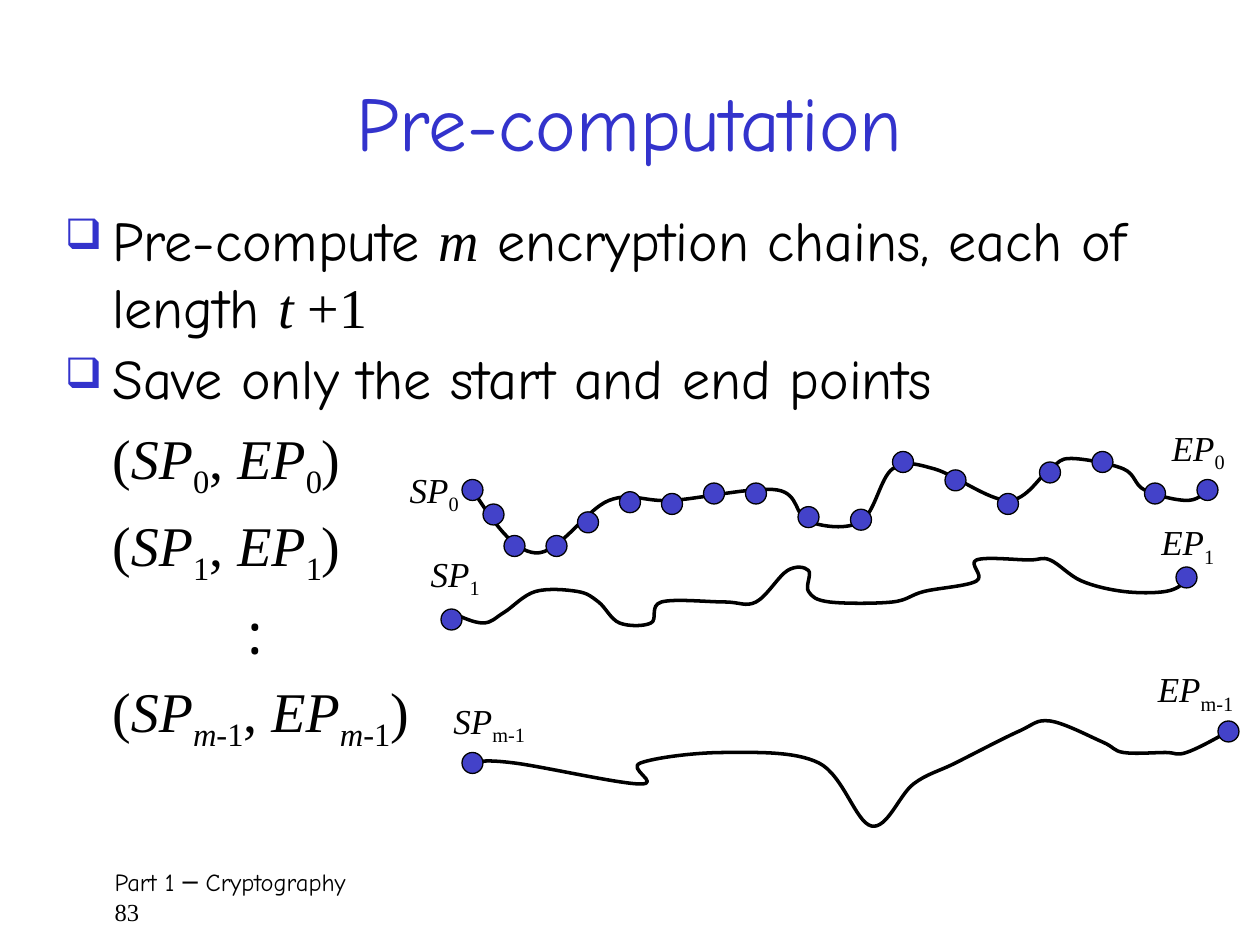
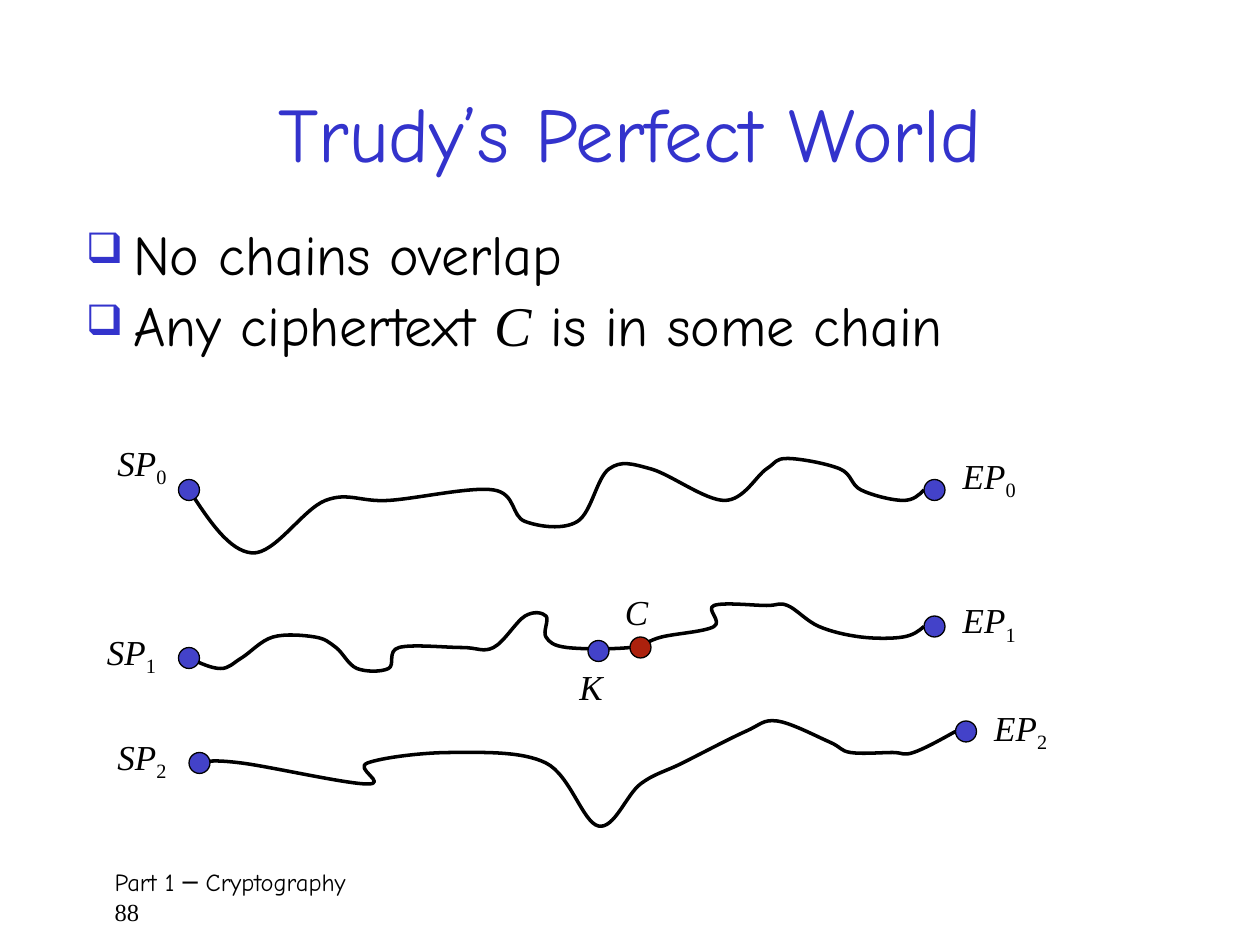
from dataclasses import dataclass

from lxml.etree import SubElement
from pptx import Presentation
from pptx.dml.color import RGBColor
from pptx.enum.shapes import MSO_SHAPE
from pptx.enum.text import MSO_ANCHOR, MSO_AUTO_SIZE, PP_ALIGN
from pptx.oxml.ns import qn
from pptx.util import Pt

PX = 6350  # EMU per px, 144 px to the inch
GRID = 12  # px between the grid lines the chains are drawn on
DOT = 24


@dataclass(frozen=True)
class Theme:
    title: str = "3333CC"
    ink: str = "000000"
    dot: str = "4342C9"
    cipher: str = "AC210D"
    title_size: int = 44
    body_size: int = 32
    label_size: int = 20
    footer_size: int = 14
    hand: str = "Comic Neue"
    serif: str = "Times New Roman"
    mono: str = "Noto Sans Mono"


theme = Theme()

# Span styles: font, italic, baseline shift
STYLES = {
    "hand": (theme.hand, False, 0),
    "mono": (theme.mono, False, 0),
    "serif": (theme.serif, False, 0),
    "math": (theme.serif, True, 0),
    "sub": (theme.serif, False, -25000),
    "mathsub": (theme.serif, True, -25000),
}


def add_text(page, rect, paragraphs, size, color=theme.ink, wrap=True):
    """Add a text box; each paragraph is a list of (text, style) spans."""
    box = page.shapes.add_textbox(*(length * PX for length in rect))
    frame = box.text_frame
    frame.word_wrap = wrap
    for number, spans in enumerate(paragraphs):
        para = frame.paragraphs[0] if number == 0 else frame.add_paragraph()
        for text, style in spans:
            span = para.add_run()
            span.text = text
            font = span.font
            font.name, font.italic, shift = STYLES[style]
            font.size = Pt(size)
            font.color.rgb = RGBColor.from_string(color)
            if shift:
                font._element.set("baseline", str(shift))
    return frame


def add_chain(page, start, knots):
    """Draw a smooth curve; handles are a sixth of the way between neighbours."""
    points = [((start[0] + x * GRID) * PX, (start[1] + y * GRID) * PX)
              for x, y in knots]
    slopes = [((c[0] - a[0]) / 6, (c[1] - a[1]) / 6)
              for a, c in zip(points, points[2:])]
    leaving = [None] + [(p[0] + s[0], p[1] + s[1])
                        for p, s in zip(points[1:], slopes)]
    arriving = [(p[0] - s[0], p[1] - s[1])
                for p, s in zip(points[1:], slopes)] + [None]
    # The two end handles lie halfway to the neighbouring handle
    leaving[0] = tuple((a + b) / 2 for a, b in zip(points[0], arriving[0]))
    arriving[-1] = tuple((a + b) / 2 for a, b in zip(points[-1], leaving[-1]))

    builder = page.shapes.build_freeform(*points[0])
    for triple in zip(leaving, arriving, points[1:]):
        builder.add_line_segments(triple, close=False)
    curve = builder.convert_to_shape()
    curve.shadow.inherit = False
    curve.fill.background()
    curve.line.color.rgb = RGBColor.from_string(theme.ink)
    curve.line.width = Pt(2)

    # Turn every three line segments into one Bézier segment
    outline = next(curve._element.iter(qn("a:path")))
    lines = outline.findall(qn("a:lnTo"))
    for first in range(0, len(lines), 3):
        bezier = SubElement(outline, qn("a:cubicBezTo"))
        for line in lines[first:first + 3]:
            bezier.append(line[0])
            outline.remove(line)


# Chain knots in grid steps from the start point
CHAINS = [
    [(0, 0), (6, 6), (13, 1), (19, 1), (29, 0), (32, 3), (37, 3), (40, -2),
     (44, -2), (51, 1), (55, -2), (57, -3), (62, -2), (64, 0), (68, 1), (70, 0)],
    [(0, 0), (3, 1), (5, 0), (8, -2), (12, -2), (14, -1), (16, 1), (19, 1),
     (20, -1), (26, -1), (29, -1), (32, -4), (34, -4), (34, -2), (36, -1),
     (42, -1), (45, -2), (50, -3), (50, -5), (55, -5), (57, -5), (60, -3),
     (64, -2), (68, -2), (70, -3)],
    [(0, 0), (4, 0), (16, 2), (16, 0), (24, -1), (33, 0), (38, 6), (42, 2),
     (46, 0), (52, -3), (55, -4), (60, -2), (62, -1), (66, -1), (68, -1),
     (72, -3)],
]


# Saved pairs of start and end points, one line each
def_pairs = []
for index in ([("0", "sub")], [("1", "sub")], [("m", "mathsub"), ("-1", "sub")]):
    def_pairs.append([("(", "serif"), ("SP", "math"), *index, (", ", "serif"),
                      ("EP", "math"), *index, (")", "serif")])

# Body lines: indent, bulleted, line spacing, spans
PAGES = [
    {
        "title": "Pre-computation",
        "title_rect": (108, 60, 1224, 156),
        "number": "83",
        "body_rect": (60, 228, 1260, 684),
        "body": [
            (54, True, None, [("Pre-compute ", "hand"), ("m", "math"),
                              (" encryption chains, each of length ", "hand"),
                              ("t ", "math"), ("+1", "serif")]),
            (54, True, 0.9, [("Save only the start and end points", "hand")]),
            (54, False, None, def_pairs[0]),
            (54, False, None, def_pairs[1]),
            (198, False, None, [(":", "mono")]),
            (54, False, None, def_pairs[2]),
        ],
        "starts": [(540, 560), (516, 700), (540, 872)],
        "labels": [("SP", "0", 454, 528, 86), ("EP", "0", 1325, 480, 91),
                   ("SP", "1", 478, 624, 86), ("EP", "1", 1313, 588, 91),
                   ("SP", "m-1", 504, 792, 115), ("EP", "m-1", 1309, 756, 120)],
        "dots": [(540, 560), (564, 588), (588, 624), (636, 624), (672, 597),
                 (720, 574), (768, 576), (816, 564), (864, 564), (924, 591),
                 (984, 594), (1032, 528), (1092, 549), (1152, 576), (1200, 540),
                 (1260, 528), (1320, 564), (1380, 560),
                 (516, 708), (1356, 660), (540, 872), (1404, 836)],
        "cipher_dots": [],
    },
    {
        "title": "Trudy’s Perfect World",
        "title_rect": (108, 60, 1224, 180),
        "number": "88",
        "body_rect": (84, 252, 1284, 204),
        "body": [
            (54, True, 0.9, [("No chains overlap", "hand")]),
            (54, True, 0.9, [("Any ciphertext ", "hand"), ("C", "math"),
                             (" is in some chain", "hand")]),
        ],
        "starts": [(216, 560), (216, 752), (228, 872)],
        "labels": [("SP", "0", 120, 497, 86), ("EP", "0", 1086, 512, 91),
                   ("SP", "1", 108, 713, 86), ("EP", "1", 1086, 677, 91),
                   ("SP", "2", 120, 833, 86), ("EP", "2", 1122, 800, 91),
                   ("C", "", 700, 668, 56), ("K", "", 648, 753, 56)],
        "dots": [(216, 560), (1068, 560), (216, 752), (1068, 716),
                 (228, 872), (1104, 836), (684, 744)],
        "cipher_dots": [(732, 740)],
    },
]

deck = Presentation()
deck.slide_width, deck.slide_height = 1440 * PX, 1080 * PX

for content in PAGES:
    page = deck.slides.add_slide(deck.slide_layouts[6])

    # Footer with page number
    frame = add_text(page, (108, 984, 1236, 72),
                     [[("Part 1 ─ Cryptography", "hand")],
                      [(content["number"], "serif")]], theme.footer_size)
    frame.margin_left = 23 * PX

    # Title
    frame = add_text(page, content["title_rect"], [[(content["title"], "hand")]],
                     theme.title_size, theme.title)
    frame.vertical_anchor = MSO_ANCHOR.MIDDLE
    frame.paragraphs[0].alignment = PP_ALIGN.CENTER

    # Body
    frame = add_text(page, content["body_rect"],
                     [spans for *_, spans in content["body"]], theme.body_size)
    for para, (indent, bulleted, spacing, _) in zip(frame.paragraphs, content["body"]):
        para.space_before = Pt(6.4)
        para.line_spacing = spacing
        properties = para._p.get_or_add_pPr()
        properties.set("marL", str(indent * PX))
        if bulleted:
            properties.set("indent", str(-indent * PX))
            color = SubElement(properties, qn("a:buClr"))
            SubElement(color, qn("a:srgbClr")).set("val", theme.title)
            SubElement(properties, qn("a:buSzPct")).set("val", "75000")
            SubElement(properties, qn("a:buChar")).set("char", "❑")

    # Chains
    for start, knots in zip(content["starts"], CHAINS):
        add_chain(page, start, knots)

    # Point labels
    for name, index, left, top, width in content["labels"]:
        spans = [(name, "math")] + ([(index, "sub")] if index else [])
        frame = add_text(page, (left, top, width, 62), [spans],
                         theme.label_size, wrap=False)
        frame.auto_size = MSO_AUTO_SIZE.SHAPE_TO_FIT_TEXT

    # Points on the chains, placed by their centres
    for centers, color in ((content["dots"], theme.dot),
                           (content["cipher_dots"], theme.cipher)):
        for x, y in centers:
            dot = page.shapes.add_shape(
                MSO_SHAPE.OVAL, (x - DOT // 2) * PX, (y - DOT // 2) * PX,
                DOT * PX, DOT * PX)
            dot.shadow.inherit = False
            dot.fill.solid()
            dot.fill.fore_color.rgb = RGBColor.from_string(color)
            dot.line.color.rgb = RGBColor.from_string(theme.ink)
            dot.line.width = Pt(0.75)

deck.save("out.pptx")
